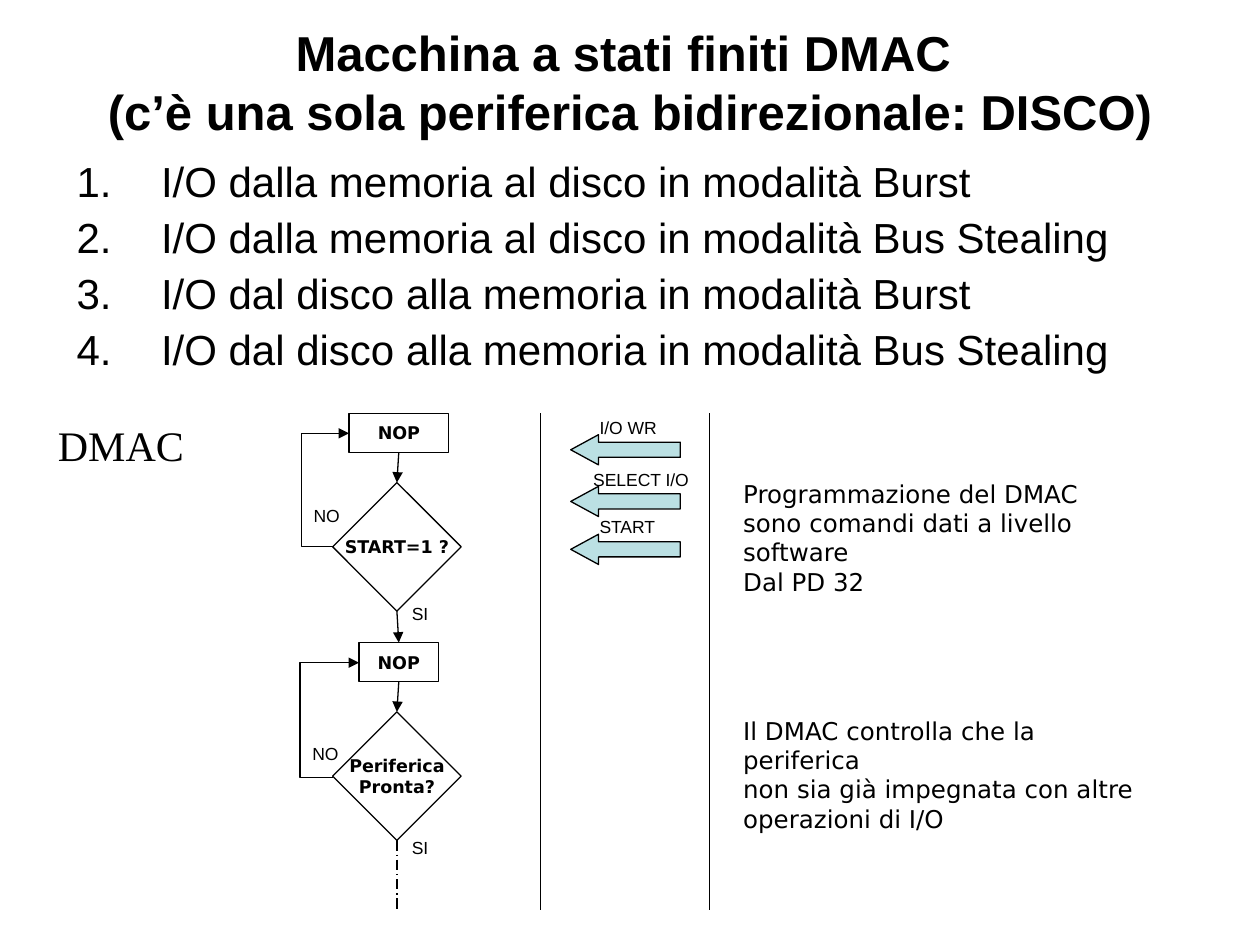
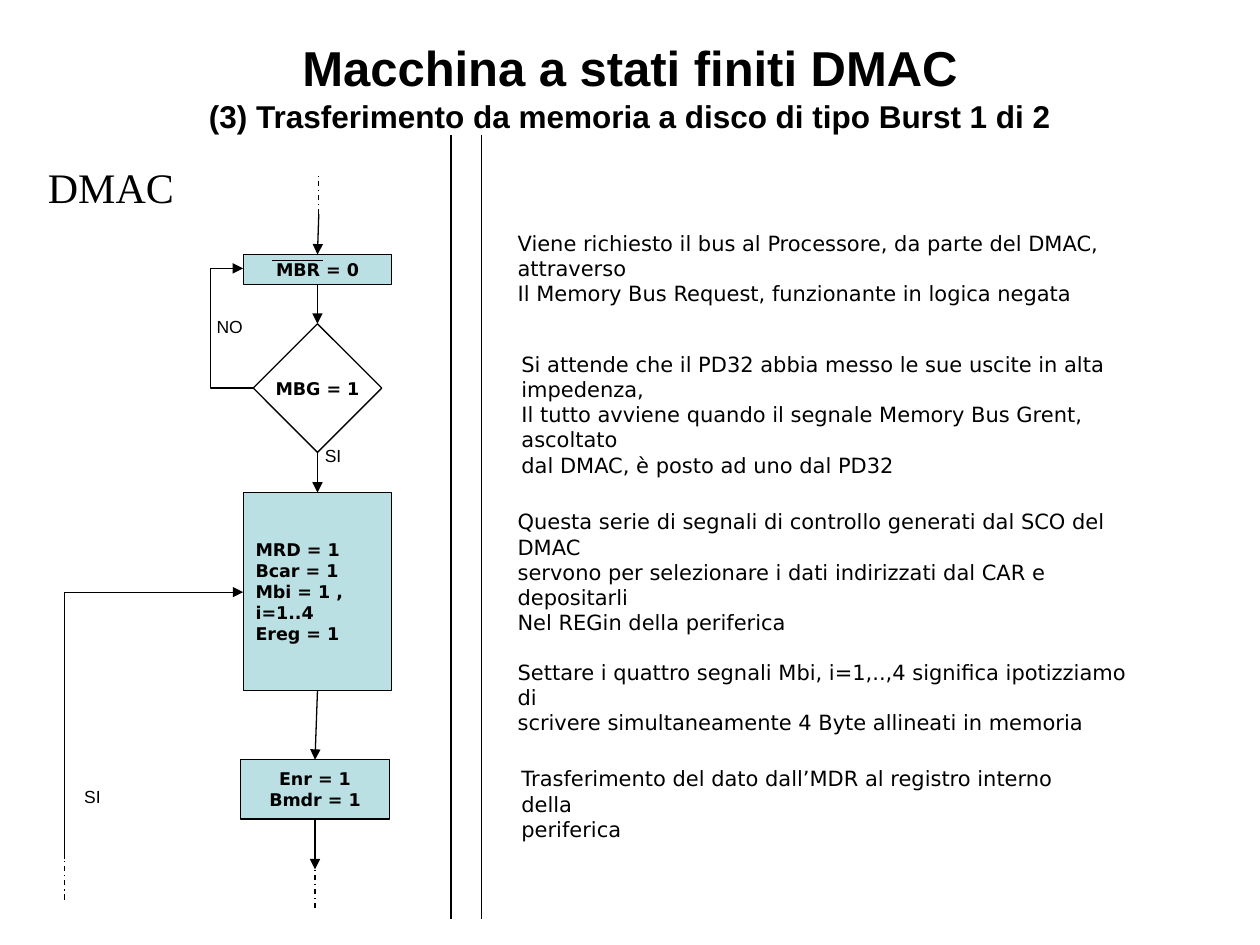
from dataclasses import dataclass
from typing import NamedTuple, Optional, Sequence, Union

from lxml.etree import SubElement
from pptx import Presentation
from pptx.dml.color import RGBColor
from pptx.enum.dml import MSO_LINE
from pptx.enum.shapes import MSO_CONNECTOR, MSO_SHAPE
from pptx.enum.text import MSO_ANCHOR, MSO_AUTO_SIZE, PP_ALIGN
from pptx.oxml.ns import qn
from pptx.shapes.autoshape import Shape
from pptx.shapes.connector import Connector
from pptx.slide import Slide
from pptx.text.text import TextFrame
from pptx.util import Emu, Pt

EMU_PER_PX = 9144  # 100 px to the inch
TOP, LEFT, BOTTOM = 0, 1, 2  # connection sites


def px(length: int) -> Emu:
    return Emu(length * EMU_PER_PX)


class Style(NamedTuple):
    font: str
    size: int
    bold: bool = False


@dataclass(frozen=True)
class Theme:
    ink: RGBColor = RGBColor(0x00, 0x00, 0x00)
    paper: RGBColor = RGBColor(0xFF, 0xFF, 0xFF)
    signal: RGBColor = RGBColor(0xBB, 0xE0, 0xE3)
    line: float = 0.75
    title: Style = Style("Arial", 28, True)
    subtitle: Style = Style("Arial", 18, True)
    body: Style = Style("Arial", 24)
    unit: Style = Style("Times New Roman", 24)
    state: Style = Style("DejaVu Sans", 10, True)
    label: Style = Style("Arial", 10)
    note: Style = Style("DejaVu Sans", 14)
    small_note: Style = Style("DejaVu Sans", 12)


THEME = Theme()


class Box(NamedTuple):
    left: int
    top: int
    width: int
    height: int


class Point(NamedTuple):
    x: int
    y: int


class Joint(NamedTuple):
    shape: Shape
    site: int


class Label(NamedTuple):
    text: str
    left: int
    top: int
    width: int


class Note(NamedTuple):
    box: Box
    lines: Sequence[str]
    gap_before: Optional[int] = None  # line that opens a second block


End = Union[Point, Joint]


# Text
def write(frame: TextFrame, lines: Sequence[str], style: Style,
          align: PP_ALIGN = PP_ALIGN.LEFT) -> None:
    for index, line in enumerate(lines):
        para = frame.paragraphs[0] if index == 0 else frame.add_paragraph()
        para.text = line
        para.alignment = align
        para.font.name = style.font
        para.font.size = Pt(style.size)
        para.font.bold = style.bold
        para.font.color.rgb = THEME.ink


def add_text(page: Slide, box: Box, lines: Sequence[str], style: Style,
             align: PP_ALIGN = PP_ALIGN.LEFT, wrap: bool = True,
             grow: bool = True) -> TextFrame:
    frame = page.shapes.add_textbox(*map(px, box)).text_frame
    frame.word_wrap = wrap
    frame.auto_size = MSO_AUTO_SIZE.SHAPE_TO_FIT_TEXT if grow else MSO_AUTO_SIZE.NONE
    write(frame, lines, style, align)
    return frame


def add_title(page: Slide, height: int, lines: Sequence[str], second: Style) -> None:
    frame = add_text(page, Box(50, 30, 900, height), lines, THEME.title,
                     PP_ALIGN.CENTER, grow=False)
    frame.vertical_anchor = MSO_ANCHOR.MIDDLE
    frame.paragraphs[1].font.size = Pt(second.size)


def add_unit(page: Slide, left: int, top: int) -> None:
    add_text(page, Box(left, top, 120, 50), ["DMAC"], THEME.unit,
             PP_ALIGN.CENTER, wrap=False)


def add_labels(page: Slide, labels: Sequence[Label]) -> None:
    for label in labels:
        add_text(page, Box(label.left, label.top, label.width, 27), [label.text],
                 THEME.label, wrap=False)


def add_notes(page: Slide, notes: Sequence[Note], style: Style) -> None:
    for note in notes:
        frame = add_text(page, note.box, note.lines, style)
        if note.gap_before is not None:
            frame.paragraphs[note.gap_before].space_before = Pt(14)


def add_numbered(page: Slide, box: Box, lines: Sequence[str]) -> None:
    frame = page.shapes.add_textbox(*map(px, box)).text_frame
    frame.word_wrap = True
    for _ in lines[1:]:
        frame.add_paragraph()
    for index, para in enumerate(frame.paragraphs):
        properties = para._p.get_or_add_pPr()
        properties.set("marL", str(px(67)))
        properties.set("indent", str(-px(67)))
        SubElement(properties, qn("a:buAutoNum"), type="arabicPeriod")
        para.line_spacing = 0.9
        if index:
            para.space_before = Pt(6)
    for para, line in zip(frame.paragraphs, lines):
        para.text = line
        para.font.name = THEME.body.font
        para.font.size = Pt(THEME.body.size)
        para.font.color.rgb = THEME.ink


# Shapes
def add_outlined(page: Slide, kind: MSO_SHAPE, box: Box, fill: RGBColor) -> Shape:
    shape = page.shapes.add_shape(kind, *map(px, box))
    shape.shadow.inherit = False
    shape.fill.solid()
    shape.fill.fore_color.rgb = fill
    shape.line.color.rgb = THEME.ink
    shape.line.width = Pt(THEME.line)
    return shape


def add_state(page: Slide, box: Box, lines: Sequence[str], fill: RGBColor,
              align: PP_ALIGN = PP_ALIGN.CENTER,
              kind: MSO_SHAPE = MSO_SHAPE.RECTANGLE) -> Shape:
    shape = add_outlined(page, kind, box, fill)
    shape.text_frame.word_wrap = align == PP_ALIGN.LEFT
    shape.text_frame.vertical_anchor = MSO_ANCHOR.MIDDLE
    write(shape.text_frame, lines, THEME.state, align)
    return shape


def add_test(page: Slide, left: int, top: int, lines: Sequence[str]) -> Shape:
    return add_state(page, Box(left, top, 102, 102), lines, THEME.paper,
                     kind=MSO_SHAPE.DIAMOND)


def add_signal(page: Slide, top: int) -> None:
    arrow = add_outlined(page, MSO_SHAPE.LEFT_ARROW, Box(453, top, 87, 24), THEME.signal)
    arrow.adjustments[1] = 0.92


# Lines
def finish_line(line: Connector, arrow: bool, dash: Optional[MSO_LINE] = None) -> None:
    line.line.color.rgb = THEME.ink
    line.line.width = Pt(THEME.line)
    if dash is not None:
        line.line.dash_style = dash
    properties = line.element.spPr
    if arrow:
        SubElement(properties.find(qn("a:ln")), qn("a:tailEnd"), type="triangle")
    SubElement(properties, qn("a:effectLst"))


def add_line(page: Slide, start: End, end: End, arrow: bool = False,
             dash: Optional[MSO_LINE] = None) -> None:
    first = start if isinstance(start, Point) else Point(0, 0)
    last = end if isinstance(end, Point) else Point(0, 0)
    line = page.shapes.add_connector(MSO_CONNECTOR.STRAIGHT, *map(px, first + last))
    if isinstance(start, Joint):
        line.begin_connect(*start)
    if isinstance(end, Joint):
        line.end_connect(*end)
    finish_line(line, arrow, dash)


def add_loop(page: Slide, start: Point, bend: int, end: Point) -> None:
    """Elbow arrow whose upright part stands at x = bend."""
    line = page.shapes.add_connector(MSO_CONNECTOR.ELBOW, *map(px, start + end))
    ratio = round((bend - start.x) / (end.x - start.x) * 100000)
    guides = line.element.spPr.find(qn("a:prstGeom")).get_or_add_avLst()
    SubElement(guides, qn("a:gd"), name="adj1", fmla=f"val {ratio}")
    finish_line(line, arrow=True)


def add_dividers(page: Slide, columns: Sequence[int], top: int, bottom: int) -> None:
    for x in columns:
        add_line(page, Point(x, top), Point(x, bottom))


# Slides
def build_overview(page: Slide) -> None:
    add_title(page, 69, ["Macchina a stati finiti DMAC ",
                         "(c’è una sola periferica bidirezionale: DISCO)"], THEME.title)
    add_numbered(page, Box(51, 123, 900, 189), [
        f"I/O {route} in modalità {mode}"
        for route in ("dalla memoria al disco", "dal disco alla memoria")
        for mode in ("Burst", "Bus Stealing")])
    add_unit(page, 36, 328)
    add_dividers(page, (429, 563), 328, 722)

    # Flow chart
    idle = add_state(page, Box(277, 328, 79, 31), ["NOP"], THEME.paper)
    started = add_test(page, 264, 383, ["START=1 ?"])
    waiting = add_state(page, Box(285, 510, 63, 31), ["NOP"], THEME.paper)
    ready = add_test(page, 264, 565, ["Periferica", "Pronta?"])
    steps = (idle, started, waiting, ready)
    for upper, lower in zip(steps, steps[1:]):
        add_line(page, Joint(upper, BOTTOM), Joint(lower, TOP), arrow=True)
    add_line(page, Joint(ready, BOTTOM), Point(315, 723), dash=MSO_LINE.LONG_DASH_DOT)
    add_loop(page, Point(264, 434), 239, Point(277, 344))
    add_loop(page, Point(264, 617), 238, Point(285, 526))

    # Signals
    for top in (345, 386, 424):
        add_signal(page, top)
    add_labels(page, [
        Label("SI", 317, 474, 33), Label("NO", 239, 396, 41),
        Label("SI", 317, 659, 33), Label("NO", 238, 585, 41),
        Label("I/O WR", 466, 326, 65), Label("SELECT I/O", 461, 367, 96),
        Label("START", 466, 405, 65)])
    add_notes(page, [
        Note(Box(580, 375, 348, 80), [
            "Programmazione del DMAC", "sono comandi dati a livello software",
            "Dal PD 32"]),
        Note(Box(580, 563, 330, 80), [
            "Il DMAC controlla che la periferica", "non sia già impegnata con altre",
            "operazioni di I/O"])], THEME.note)


def build_burst(page: Slide) -> None:
    add_title(page, 77, ["Macchina a stati finiti DMAC",
                         "(3) Trasferimento da memoria a disco di tipo Burst 1 di 2"],
              THEME.subtitle)
    add_unit(page, 28, 123)
    add_dividers(page, (358, 382), 107, 729)

    # Flow chart
    request = add_state(page, Box(193, 202, 118, 24), ["MBR = 0"], THEME.signal)
    granted = add_test(page, 201, 257, ["MBG = 1"])
    read = add_state(page, Box(193, 391, 118, 157), [
        "MRD = 1", "Bcar = 1", "Mbi = 1 ,", "i=1..4", "Ereg = 1"],
        THEME.signal, PP_ALIGN.LEFT)
    store = add_state(page, Box(191, 603, 118, 47), ["Enr = 1", "Bmdr = 1"], THEME.signal)
    entry, leave, back = Point(253, 170), Point(250, 690), Point(51, 682)
    steps = (request, granted, read, store)
    add_line(page, entry, Joint(request, TOP), arrow=True)
    for upper, lower in zip(steps, steps[1:]):
        add_line(page, Joint(upper, BOTTOM), Joint(lower, TOP), arrow=True)
    add_line(page, Joint(store, BOTTOM), leave, arrow=True)
    add_loop(page, Point(201, 308), 167, Point(193, 213))
    add_loop(page, back, 51, Point(193, 470))
    for start, end in ((entry, Point(253, 139)), (Point(250, 721), leave),
                       (Point(51, 714), back)):
        add_line(page, start, end, dash=MSO_LINE.DASH_DOT)
    add_line(page, Point(216, 207), Point(256, 207))  # bar over MBR

    add_labels(page, [Label("SI", 248, 348, 33), Label("NO", 162, 246, 41),
                      Label("SI", 57, 619, 33)])
    add_notes(page, [
        Note(Box(401, 178, 535, 50), [
            "Viene richiesto il bus al Processore, da parte del DMAC, attraverso",
            "Il Memory Bus Request, funzionante in logica negata"]),
        Note(Box(404, 274, 540, 70), [
            "Si attende che il PD32 abbia messo le sue uscite in alta impedenza,",
            "Il tutto avviene quando il segnale Memory Bus Grent, ascoltato",
            "dal DMAC, è posto ad uno dal PD32"]),
        Note(Box(401, 399, 507, 130), [
            "Questa serie di segnali di controllo generati dal SCO del DMAC",
            "servono per selezionare i dati indirizzati dal CAR e depositarli",
            "Nel REGin della periferica",
            "Settare i quattro segnali Mbi, i=1,..,4 significa ipotizziamo di",
            "scrivere simultaneamente 4 Byte allineati in memoria"], gap_before=3),
        Note(Box(404, 603, 464, 50), [
            "Trasferimento del dato dall’MDR al registro interno della",
            "periferica"])], THEME.small_note)


def main() -> None:
    deck = Presentation()
    deck.slide_width, deck.slide_height = px(1000), px(750)
    for build in (build_overview, build_burst):
        build(deck.slides.add_slide(deck.slide_layouts[6]))
    deck.save("out.pptx")


if __name__ == "__main__":
    main()
